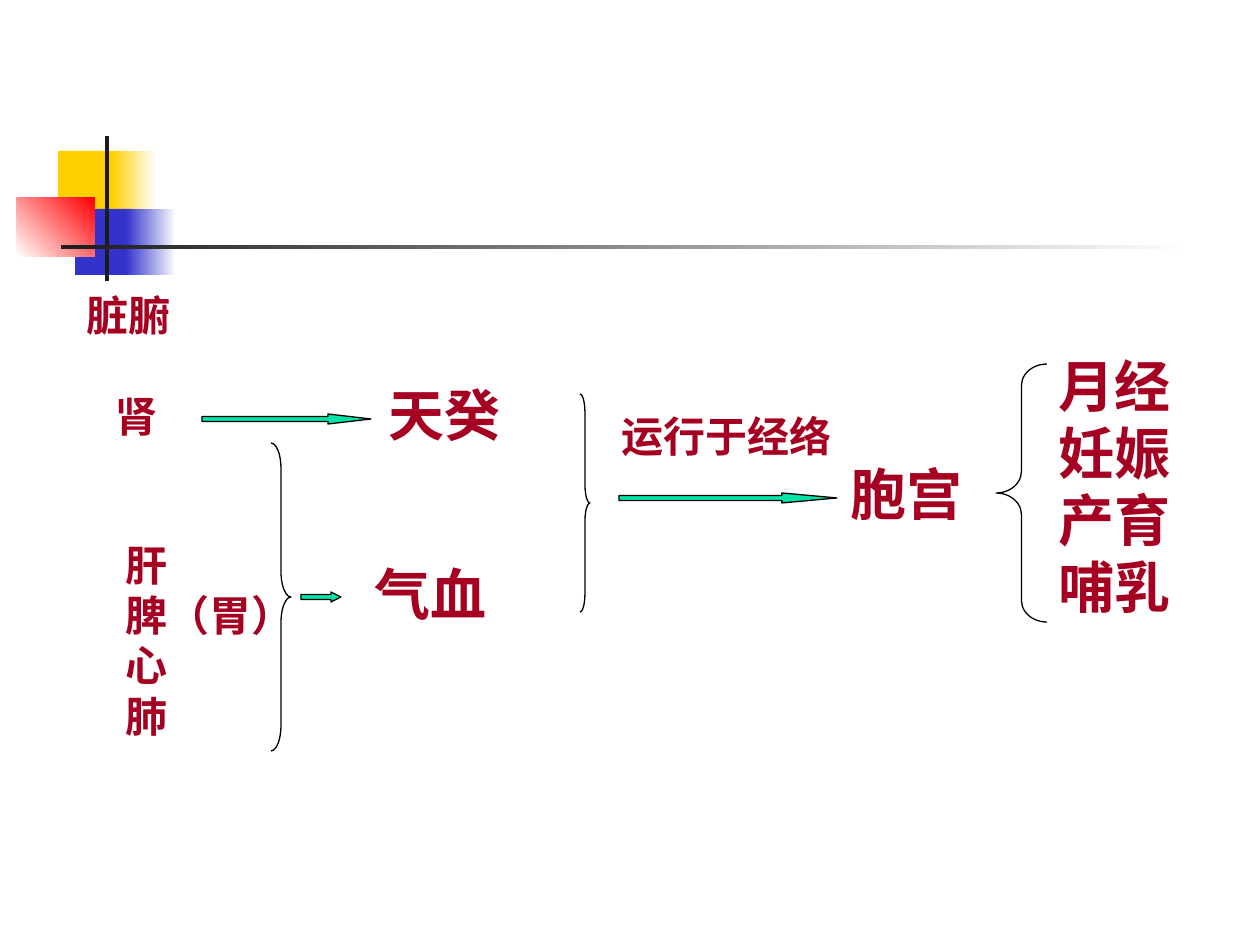
from pptx import Presentation
from pptx.dml.color import RGBColor
from pptx.enum.shapes import MSO_SHAPE as Shape
from pptx.enum.text import MSO_ANCHOR as Anchor, PP_ALIGN as Align
from pptx.util import Emu, Pt

PX = 914400 / 126
FONT = "Times New Roman"
CRIMSON = RGBColor(0xA5, 0x00, 0x21)
GREEN = RGBColor(0x00, 0xE4, 0xA8)
YELLOW = RGBColor(0xFF, 0xCF, 0x01)
BLUE = RGBColor(0x33, 0x33, 0xCC)
RED = RGBColor(0xFF, 0x00, 0x00)
DARK = RGBColor(0x1C, 0x1C, 0x1C)
BLACK = RGBColor(0x00, 0x00, 0x00)
WHITE = RGBColor(0xFF, 0xFF, 0xFF)


def px(length):
    return Emu(round(length * PX))


def add_text(page, lines, left, top, width, height, size=24, wrap=False):
    box = page.shapes.add_textbox(px(left), px(top), px(width), px(height))
    frame = box.text_frame
    frame.word_wrap = wrap
    frame.vertical_anchor = Anchor.TOP
    for index, line in enumerate(lines):
        para = frame.paragraphs[0] if index == 0 else frame.add_paragraph()
        para.alignment = Align.LEFT
        para.line_spacing = Pt(size * 1.2)
        span = para.add_run()
        span.text = line
        span.font.name = FONT
        span.font.size = Pt(size)
        span.font.bold = True
        span.font.color.rgb = CRIMSON


def add_figure(page, kind, left, top, width, height):
    figure = page.shapes.add_shape(kind, px(left), px(top), px(width), px(height))
    figure.shadow.inherit = False
    return figure


def outline(figure):
    figure.line.color.rgb = BLACK
    figure.line.width = Pt(0.75)


def add_block(page, left, top, width, height, start, end=None, angle=0):
    block = add_figure(page, Shape.RECTANGLE, left, top, width, height)
    block.line.fill.background()
    if end is None:
        block.fill.solid()
        block.fill.fore_color.rgb = start
        return
    block.fill.gradient()
    block.fill.gradient_angle = angle
    for stop, color, position in zip(block.fill.gradient_stops, (start, end), (0, 1)):
        stop.color.rgb = color
        stop.position = position


def add_arrow(page, left, top, width, head):
    height = 10
    arrow = add_figure(page, Shape.RIGHT_ARROW, left, top, width, height)
    arrow.adjustments[0] = 0.5
    arrow.adjustments[1] = head / height
    arrow.fill.solid()
    arrow.fill.fore_color.rgb = GREEN
    outline(arrow)


def add_brace(page, kind, left, top, width, height):
    brace = add_figure(page, kind, left, top, width, height)
    brace.adjustments[0] = height / 12 / width
    brace.adjustments[1] = 0.5
    brace.fill.background()
    outline(brace)


def draw_ornament(page, left, top):
    add_block(page, left + 41, top + 15, 60, 66, YELLOW)
    add_block(page, left + 94, top + 15, 45, 66, YELLOW, WHITE)
    add_block(page, left + 58, top + 73, 58, 66, BLUE)
    add_block(page, left + 109, top + 73, 50, 66, BLUE, WHITE)
    add_block(page, left, top + 62, 78, 59, WHITE, RED, angle=45)
    add_block(page, left + 88, top, 4, 145, DARK)
    add_block(page, left + 44, top + 109, 1134, 4, DARK, WHITE)


def draw_organs(page, left, top):
    add_text(page, ["脏腑"], left, top, 129, 63, wrap=True)
    add_text(page, ["肾"], left + 29, top + 101, 67, 63)
    add_text(page, ["肝", "脾（胃）", "心", "肺"], left + 39, top + 250, 193, 214)
    add_arrow(page, left + 128, top + 131, 169, head=43)
    add_brace(page, Shape.RIGHT_BRACE, left + 197, top + 160, 20, 308)
    add_arrow(page, left + 227, top + 309, 40, head=10)


def draw_substances(page, left, top):
    add_text(page, ["天癸"], left + 14, top, 137, 81, size=32)
    add_text(page, ["气血"], left, top + 179, 137, 81, size=32)
    add_brace(page, Shape.RIGHT_BRACE, left + 218, top + 20, 10, 218)


def draw_womb(page, left, top):
    add_text(page, ["运行于经络"], left, top, 238, 63, wrap=True)
    add_arrow(page, left + 10, top + 89, 218, head=55)
    add_text(page, ["胞宫"], left + 229, top + 49, 137, 81, size=32)


def draw_functions(page, left, top):
    add_brace(page, Shape.LEFT_BRACE, left, top + 19, 51, 258)
    add_text(page, ["月经", "妊娠", "产育", "哺乳"], left + 50, top, 137, 282,
             size=32, wrap=True)


def main():
    deck = Presentation()
    deck.slide_width, deck.slide_height = px(1260), px(945)
    page = deck.slides.add_slide(deck.slide_layouts[6])
    page.background.fill.solid()
    page.background.fill.fore_color.rgb = WHITE
    draw_ornament(page, 17, 136)
    draw_organs(page, 74, 283)
    draw_substances(page, 362, 374)
    draw_womb(page, 609, 404)
    draw_functions(page, 996, 345)
    deck.save("out.pptx")


if __name__ == "__main__":
    main()
